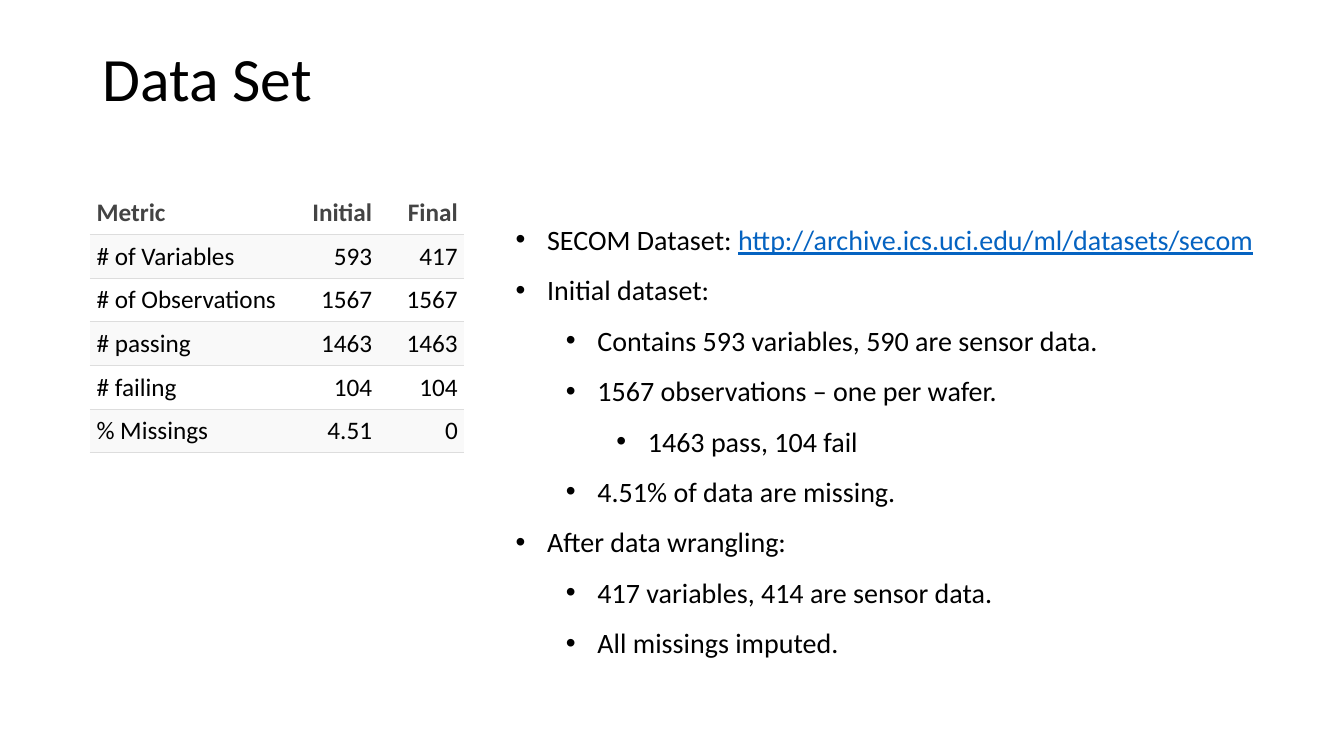
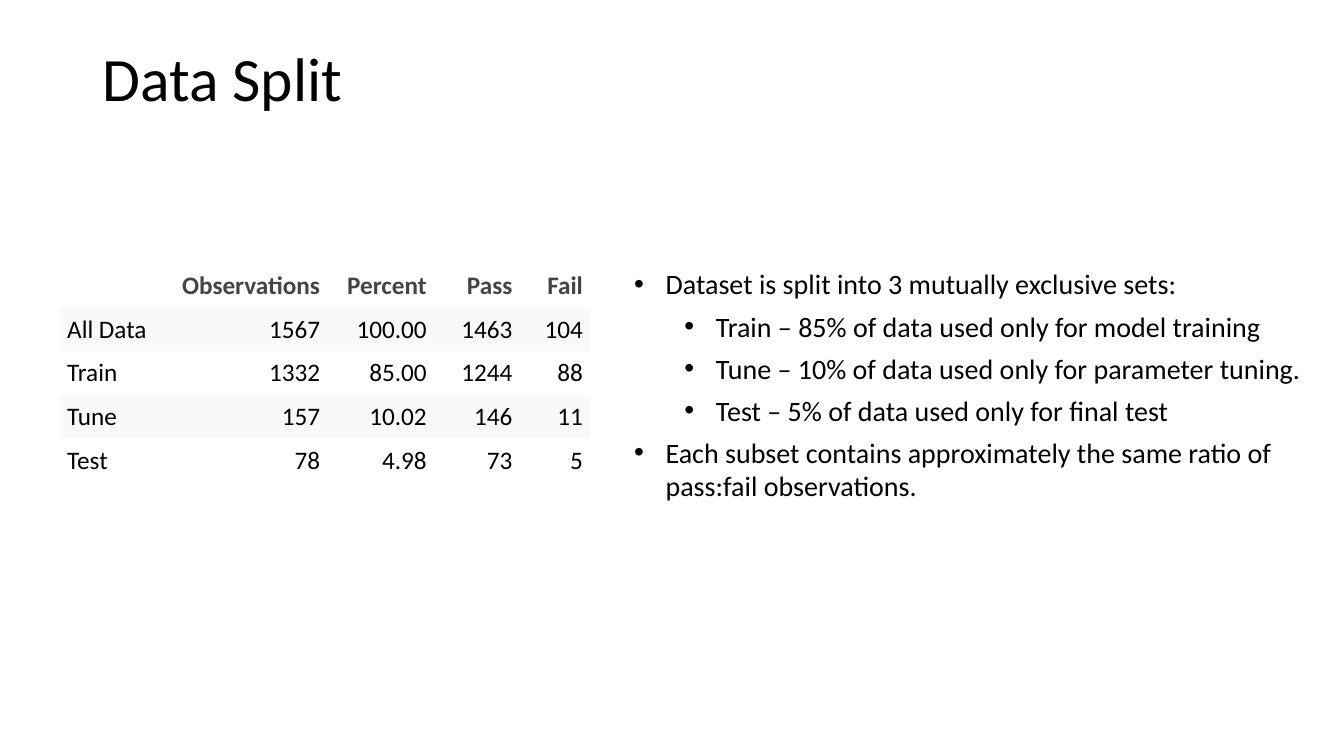
import dataclasses

import pptx
import pptx.dml.color
import pptx.enum.text
import pptx.oxml
import pptx.oxml.ns
import pptx.util

Pt = pptx.util.Pt
Rgb = pptx.dml.color.RGBColor.from_string
Side = pptx.enum.text.PP_ALIGN
Anchor = pptx.enum.text.MSO_ANCHOR


@dataclasses.dataclass(frozen=True)
class Theme:
    font: str = "Calibri"
    ink: str = "000000"
    head: str = "444444"
    band: str = "F9F9F9"
    rule: str = "DDDDDD"
    link: str = "0563C1"
    title: int = 44
    body: int = 20
    cell: int = 18


theme = Theme()
deck = pptx.Presentation()
deck.slide_width = pptx.util.Inches(13.33)
deck.slide_height = pptx.util.Inches(7.5)

# The slide is a grid of 160 columns by 90 rows of square units.
unit = deck.slide_width / 160
hang, step, row_high = 3.75, 6, 5.2
title_box = (11, 4.8, 138, 9.7)
no_grid = "{2D5ABB26-0587-4C30-8999-92F81FD0307C}"
url = "http://archive.ics.uci.edu/ml/datasets/secom"

pages = [
    dict(
        title="Data Set",
        spot=(10.7, 22.7),
        cols=[23.6, 10.8, 10.2],
        ruled=True,
        rows=[
            ["Metric", "Initial", "Final"],
            ["# of Variables", "593", "417"],
            ["# of Observations", "1567", "1567"],
            ["# passing", "1463", "1463"],
            ["# failing", "104", "104"],
            ["% Missings", "4.51", "0"],
        ],
        box=(60.2, 23.9, 96.2, 55.1),
        pitch=1.5,
        after=0,
        points=[
            (0, "SECOM Dataset: ", url),
            (0, "Initial dataset:"),
            (1, "Contains 593 variables, 590 are sensor data."),
            (1, "1567 observations – one per wafer."),
            (2, "1463 pass, 104 fail"),
            (1, "4.51% of data are missing."),
            (0, "After data wrangling:"),
            (1, "417 variables, 414 are sensor data."),
            (1, "All missings imputed."),
        ],
    ),
    dict(
        title="Data Split",
        spot=(7.2, 31.4),
        cols=[11.2, 20.5, 12.7, 10.2, 8.4],
        ruled=False,
        rows=[
            ["", "Observations", "Percent", "Pass", "Fail"],
            ["All Data", "1567", "100.00", "1463", "104"],
            ["Train", "1332", "85.00", "1244", "88"],
            ["Tune", "157", "10.02", "146", "11"],
            ["Test", "78", "4.98", "73", "5"],
        ],
        box=(74.3, 31.2, 82.1, 29.5),
        pitch=1,
        after=6,
        points=[
            (0, "Dataset is split into 3 mutually exclusive sets:"),
            (1, "Train – 85% of data used only for model training"),
            (1, "Tune – 10% of data used only for parameter tuning."),
            (1, "Test – 5% of data used only for final test"),
            (0, "Each subset contains approximately the same ratio of "
                "pass:fail observations."),
        ],
    ),
]


def grid(*spans):
    return [round(span * unit) for span in spans]


def style(para, size, color=theme.ink, bold=False):
    para.font.name = theme.font
    para.font.size = Pt(size)
    para.font.bold = bold
    para.font.color.rgb = Rgb(color)


for page in pages:
    slide = deck.slides.add_slide(deck.slide_layouts[6])

    # Title
    frame = slide.shapes.add_textbox(*grid(*title_box)).text_frame
    frame.word_wrap = True
    frame.vertical_anchor = Anchor.MIDDLE
    para = frame.paragraphs[0]
    para.text = page["title"]
    para.line_spacing = 0.9
    style(para, theme.title)

    # Table
    rows, cols = page["rows"], page["cols"]
    size = grid(sum(cols), row_high * len(rows))
    table = slide.shapes.add_table(
        len(rows), len(cols), *grid(*page["spot"]), *size).table
    table._tbl.tblPr.find(pptx.oxml.ns.qn("a:tableStyleId")).text = no_grid
    for col, wide in zip(table.columns, grid(*cols)):
        col.width = wide
    for r, row in enumerate(rows):
        for c, text in enumerate(row):
            cell = table.cell(r, c)
            cell.margin_left = cell.margin_right = Pt(4.8)
            cell.margin_top = cell.margin_bottom = Pt(4.8)
            cell.vertical_anchor = Anchor.TOP if r else Anchor.BOTTOM
            if r % 2:
                cell.fill.solid()
                cell.fill.fore_color.rgb = Rgb(theme.band)
            else:
                cell.fill.background()
            if page["ruled"]:
                line = pptx.oxml.parse_xml(
                    f'<a:lnB {pptx.oxml.ns.nsdecls("a")} w="{Pt(0.6)}">'
                    f'<a:solidFill><a:srgbClr val="{theme.rule}"/>'
                    '</a:solidFill></a:lnB>')
                cell._tc.get_or_add_tcPr().insert(0, line)
            para = cell.text_frame.paragraphs[0]
            para.text = text
            para.alignment = Side.RIGHT if c else Side.LEFT
            style(para, theme.cell, theme.ink if r else theme.head, r == 0)

    # Bullet points
    frame = slide.shapes.add_textbox(*grid(*page["box"])).text_frame
    frame.word_wrap = True
    for i, (level, text, *link) in enumerate(page["points"]):
        para = frame.paragraphs[0] if i == 0 else frame.add_paragraph()
        para.level = level
        para.line_spacing = page["pitch"]
        para.space_after = Pt(page["after"])
        style(para, theme.body)
        para.add_run().text = text
        for part in link:
            run = para.add_run()
            run.text = part
            run.font.underline = True
            run.font.color.rgb = Rgb(theme.link)
        left, dent = grid(hang + step * level, -hang)
        props = para._p.get_or_add_pPr()
        props.set("marL", str(left))
        props.set("indent", str(dent))
        for tag in ('buFont typeface="Arial"', 'buChar char="•"'):
            mark = pptx.oxml.parse_xml(
                f'<a:{tag} {pptx.oxml.ns.nsdecls("a")}/>')
            props.insert_element_before(mark, "a:tabLst", "a:defRPr")

deck.save("out.pptx")
